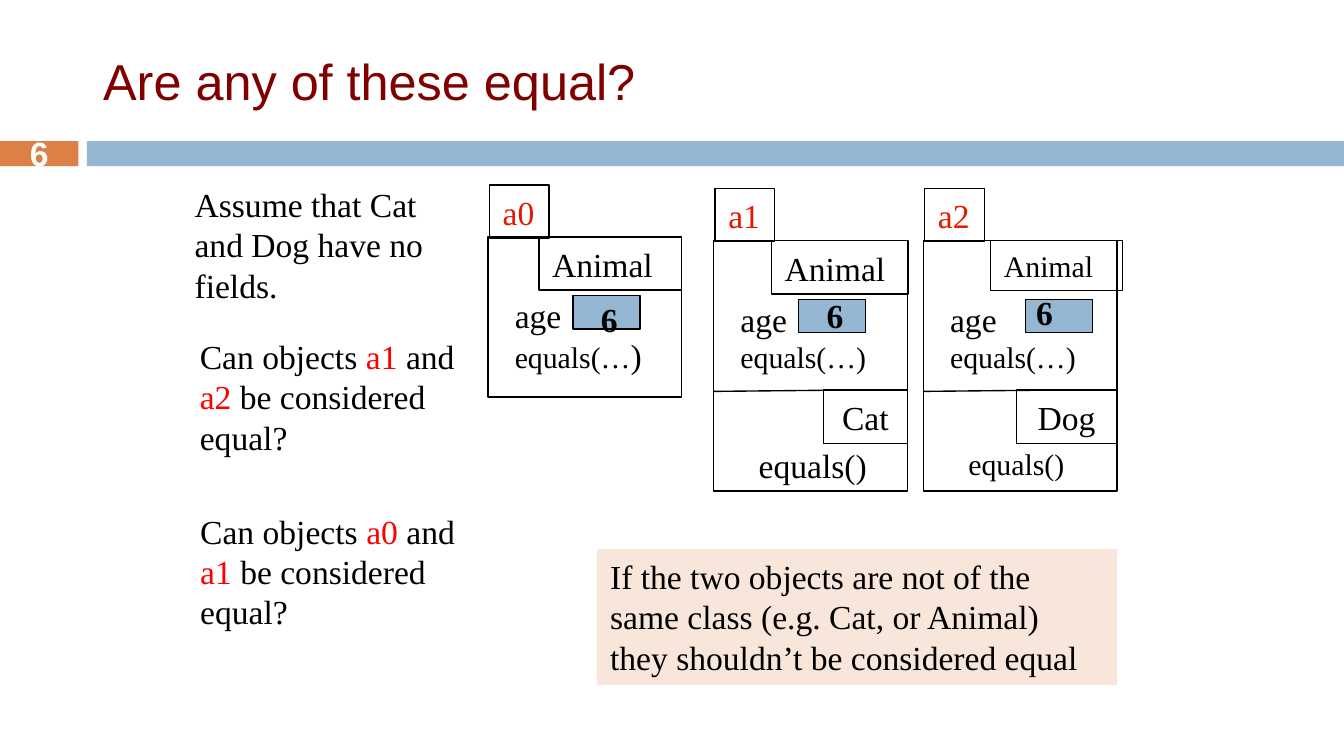
from dataclasses import dataclass
from typing import NamedTuple, Optional, Union

from pptx import Presentation
from pptx.dml.color import RGBColor
from pptx.enum.shapes import MSO_CONNECTOR, MSO_SHAPE
from pptx.enum.text import MSO_ANCHOR, PP_ALIGN
from pptx.oxml.ns import qn
from pptx.shapes.autoshape import Shape
from pptx.shapes.shapetree import GroupShapes, SlideShapes
from pptx.util import Pt
from lxml import etree

RECTANGLE = MSO_SHAPE.RECTANGLE
STRAIGHT = MSO_CONNECTOR.STRAIGHT
TOP, MIDDLE = MSO_ANCHOR.TOP, MSO_ANCHOR.MIDDLE
LEFT, CENTER = PP_ALIGN.LEFT, PP_ALIGN.CENTER

SERIF, SANS = "Times New Roman", "Arial"
COLORS = {
    "orange": "DD8047",
    "blue": "94B6D2",
    "maroon": "800000",
    "white": "FFFFFF",
    "black": "000000",
    "name": "E41900",
    "red": "FF0000",
    "peach": "F8E6DA",
}
LINE_WIDTH = 0.75
FRAME_WIDTH = 103.7
LABEL_HEIGHT = 28.5

Shapes = Union[SlideShapes, GroupShapes]


class Box(NamedTuple):
    left: float
    top: float
    width: float
    height: float


class Run(NamedTuple):
    text: str
    color: Optional[str] = None
    size: Optional[float] = None


@dataclass
class AnimalObject:
    name: str
    left: float
    top: float
    height: float
    tab_offset: float
    tab_width: float
    value_offset: float
    digit_top: float
    closing_size: float = 16
    tab_size: float = 18
    tab_height: float = LABEL_HEIGHT
    subclass: str = ""
    subclass_width: float = 0
    method_size: float = 18


def write_text(shape: Shape, *paragraphs: list[Run], size: float = 18,
               font: str = SERIF, color: str = "black", bold: bool = False,
               align: PP_ALIGN = LEFT, anchor: MSO_ANCHOR = TOP) -> None:
    frame = shape.text_frame
    frame.word_wrap = True
    frame.vertical_anchor = anchor
    for index, runs in enumerate(paragraphs):
        paragraph = frame.add_paragraph() if index else frame.paragraphs[0]
        paragraph.alignment = align
        for item in runs:
            run = paragraph.add_run()
            run.text = item.text
            run.font.name = font
            run.font.size = Pt(item.size or size)
            run.font.bold = bold
            run.font.color.rgb = RGBColor.from_string(COLORS[item.color or color])


def add_rectangle(shapes: Shapes, box: Box, fill: str = "",
                  outlined: bool = False) -> Shape:
    shape = shapes.add_shape(RECTANGLE, *map(Pt, box))
    shape.shadow.inherit = False
    if fill:
        shape.fill.solid()
        shape.fill.fore_color.rgb = RGBColor.from_string(COLORS[fill])
    else:
        shape.fill.background()
    if outlined:
        shape.line.color.rgb = RGBColor.from_string(COLORS["black"])
        shape.line.width = Pt(LINE_WIDTH)
    else:
        shape.line.fill.background()
    return shape


def add_text_box(shapes: Shapes, box: Box) -> Shape:
    return shapes.add_textbox(*map(Pt, box))


def add_divider(shapes: Shapes, left: float, top: float) -> None:
    line = shapes.add_connector(STRAIGHT, Pt(left), Pt(top + 0.7),
                                Pt(left + 67.7), Pt(top))
    line.line.color.rgb = RGBColor.from_string(COLORS["black"])
    line.line.width = Pt(LINE_WIDTH)
    etree.SubElement(line._element.spPr, qn("a:effectLst"))


def draw_object(slide_shapes: SlideShapes, animal: AnimalObject) -> None:
    shapes = slide_shapes.add_group_shape().shapes
    left, top = animal.left, animal.top

    # Frame, name and class tab
    add_rectangle(shapes, Box(left, top, FRAME_WIDTH, animal.height), outlined=True)
    name = add_rectangle(shapes, Box(left + 0.7, top - 28, 32, LABEL_HEIGHT),
                         outlined=True)
    write_text(name, [Run(animal.name)], color="name")
    tab = add_rectangle(shapes, Box(left + animal.tab_offset, top,
                                    animal.tab_width, animal.tab_height),
                        outlined=True)
    write_text(tab, [Run("Animal")], size=animal.tab_size)

    # Subclass partition
    if animal.subclass:
        middle = top + 80
        subclass = add_rectangle(
            shapes, Box(left + FRAME_WIDTH - animal.subclass_width, middle,
                        animal.subclass_width, LABEL_HEIGHT), outlined=True)
        write_text(subclass, [Run(animal.subclass)], align=CENTER)
        add_divider(shapes, left, middle)
        method = add_text_box(shapes, Box(left + 17, top + 106, 83.5, LABEL_HEIGHT))
        write_text(method, [Run("equals()")], size=animal.method_size)

    # Field, method and field value
    members = add_text_box(shapes, Box(left + 7.2, top + 27.5, 90, 48))
    write_text(members, [Run("age")],
               [Run("equals(…", size=16), Run(")", size=animal.closing_size)])
    add_rectangle(shapes, Box(left + animal.value_offset, top + 31.3, 36, 18),
                  fill="blue", outlined=True)
    digit = add_text_box(shapes, Box(left + 53.3, top + animal.digit_top,
                                     18, LABEL_HEIGHT))
    write_text(digit, [Run("6")], bold=True)


def question(first: str, second: str) -> list[Run]:
    return [Run("Can objects "), Run(first, "red"), Run(" and "),
            Run(second, "red"), Run(" be considered equal?")]


OBJECTS = [
    AnimalObject("a2", 494.7, 129, 134, 36, 70.6, 54.7, 23.8,
                 tab_size=16, tab_height=26.6, subclass="Dog",
                 subclass_width=54, method_size=16),
    AnimalObject("a1", 382.4, 129, 134, 30.9, 73.2, 45.4, 25.2,
                 subclass="Cat", subclass_width=45),
    AnimalObject("a0", 261.5, 127, 85.7, 27.2, 76.5, 45.4, 29.5,
                 closing_size=18),
]

REMARKS = [
    (Box(97.2, 95, 153.4, 72.7), [Run("Assume that Cat and Dog have no fields.")]),
    (Box(100, 176.4, 153.4, 72.7), question("a1", "a2")),
    (Box(100.2, 270, 153.4, 72.7), question("a0", "a1")),
]


def main() -> None:
    presentation = Presentation()
    presentation.slide_width, presentation.slide_height = Pt(720), Pt(405)
    slide = presentation.slides.add_slide(presentation.slide_layouts[6])
    shapes = slide.shapes

    # Header band, title and slide number
    add_rectangle(shapes, Box(0, 75.6, 42, 13.5), fill="orange")
    add_rectangle(shapes, Box(46.6, 75.6, 673.4, 13.5), fill="blue")
    title = add_text_box(shapes, Box(48.2, 13.7, 642, 58.3))
    write_text(title, [Run("Are any of these equal?")], size=27, font=SANS,
               color="maroon", anchor=MIDDLE)
    number = add_text_box(shapes, Box(0, 75, 42, 14.4))
    write_text(number, [Run("6")], font=SANS, color="white", bold=True,
               align=CENTER, anchor=MIDDLE)

    # Object diagrams
    for animal in OBJECTS:
        draw_object(shapes, animal)

    # Assumption and questions
    for box, runs in REMARKS:
        write_text(add_text_box(shapes, box), runs)

    # Conclusion
    conclusion = add_rectangle(shapes, Box(319.8, 294.2, 278.6, 72.7), fill="peach")
    write_text(conclusion, [Run("If the two objects are not of the same class "
                                "(e.g. Cat, or Animal) they shouldn’t be "
                                "considered equal")])

    presentation.save("out.pptx")


if __name__ == "__main__":
    main()
